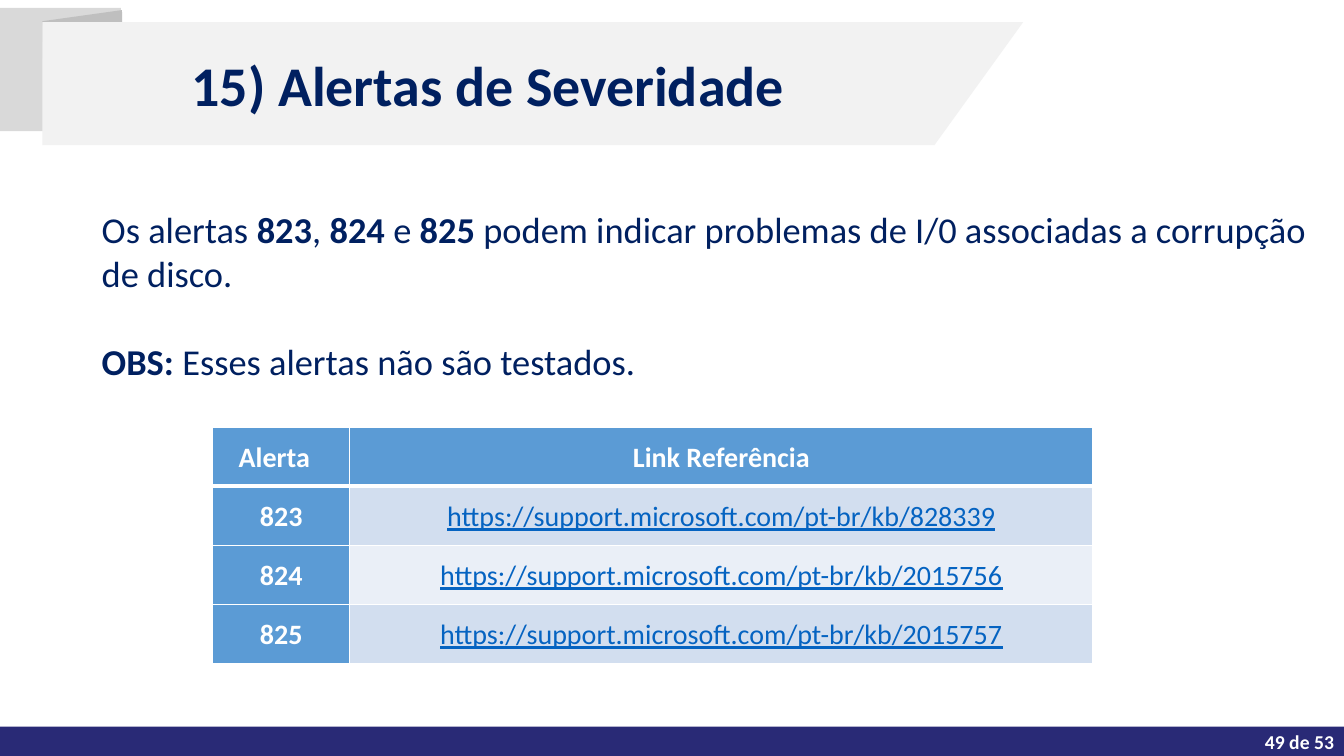
from dataclasses import dataclass
from itertools import product

from lxml.etree import SubElement
from pptx import Presentation
from pptx.dml.color import RGBColor
from pptx.enum.shapes import MSO_SHAPE
from pptx.enum.text import MSO_ANCHOR, PP_ALIGN
from pptx.oxml.ns import qn
from pptx.util import Inches, Pt


@dataclass(frozen=True)
class Theme:
    font: str = "Calibri"
    navy: str = "002060"
    white: str = "FFFFFF"
    footer: str = "292A76"
    tab: str = "D9D9D9"
    fold: str = "BFBFBF"
    banner: str = "F2F2F2"
    header: str = "5B9BD5"
    bands: tuple = ("D2DEEF", "EAEFF7")
    link: str = "0563C1"
    title_size: int = 40
    body_size: int = 26
    table_size: int = 20
    page_size: int = 14
    thin_border: float = 0.96
    thick_border: float = 3


THEME = Theme()
WIDTH, HEIGHT = Inches(13.33), Inches(7.5)
COLUMNS, ROWS = 64, 36

BODY = [
    [("Os alertas ", False), ("823", True), (", ", False), ("824", True),
     (" e ", False), ("825", True),
     (" podem indicar problemas de I/0 associadas a corrupção de disco.", False)],
    [("OBS: ", True), ("Esses alertas não são testados.", False)],
]
ALERTS = [
    ("Alerta", "Link Referência"),
    ("823", "https://support.microsoft.com/pt-br/kb/828339"),
    ("824", "https://support.microsoft.com/pt-br/kb/2015756"),
    ("825", "https://support.microsoft.com/pt-br/kb/2015757"),
]
ALERT_COLUMNS = (6.53, 35.38)
ALERT_ROW = 2.81


def across(columns):
    return round(WIDTH * columns / COLUMNS)


def down(rows):
    return round(HEIGHT * rows / ROWS)


def place(left, top, width, height):
    return across(left), down(top), across(width), down(height)


def paint(shape, color):
    shape.shadow.inherit = False
    shape.fill.solid()
    shape.fill.fore_color.rgb = RGBColor.from_string(color)
    shape.line.fill.background()


def add_block(slide, area, color):
    paint(slide.shapes.add_shape(MSO_SHAPE.RECTANGLE, *place(*area)), color)


def add_outline(slide, corners, color):
    points = [(across(x), down(y)) for x, y in corners]
    builder = slide.shapes.build_freeform(*points[0], scale=1.0)
    builder.add_line_segments(points[1:], close=True)
    paint(builder.convert_to_shape(), color)


def style_run(run, size, color, bold, underline=False):
    font = run.font
    font.name = THEME.font
    font.size = Pt(size)
    font.bold = bold
    font.underline = underline
    font.color.rgb = RGBColor.from_string(color)


def add_text(slide, area, paragraphs, size, color,
             align=PP_ALIGN.LEFT, anchor=MSO_ANCHOR.MIDDLE, gap=0):
    frame = slide.shapes.add_textbox(*place(*area)).text_frame
    frame.word_wrap = True
    frame.vertical_anchor = anchor
    for index, pieces in enumerate(paragraphs):
        paragraph = frame.add_paragraph() if index else frame.paragraphs[0]
        paragraph.alignment = align
        if index:
            paragraph.space_before = Pt(gap)
        for text, bold in pieces:
            run = paragraph.add_run()
            run.text = text
            style_run(run, size, color, bold)


def add_borders(cell, top, bottom):
    properties = cell._tc.get_or_add_tcPr()
    thin = THEME.thin_border
    for side, width in (("L", thin), ("R", thin), ("T", top), ("B", bottom)):
        line = SubElement(properties, qn(f"a:ln{side}"), w=str(Pt(width)))
        fill = SubElement(line, qn("a:solidFill"))
        SubElement(fill, qn("a:srgbClr"), val=THEME.white)


def fill_cell(cell, text, row, column):
    is_heading = row == 0 or column == 0
    add_borders(cell,
                THEME.thick_border if row == 1 else THEME.thin_border,
                THEME.thick_border if row == 0 else THEME.thin_border)
    cell.fill.solid()
    background = THEME.header if is_heading else THEME.bands[(row - 1) % 2]
    cell.fill.fore_color.rgb = RGBColor.from_string(background)
    cell.vertical_anchor = MSO_ANCHOR.MIDDLE
    cell.margin_left = cell.margin_right = across(0.24)
    cell.margin_top = cell.margin_bottom = down(0.24)
    if row == column == 0:
        cell.margin_right = across(0.9)
    paragraph = cell.text_frame.paragraphs[0]
    paragraph.text = text
    paragraph.alignment = PP_ALIGN.CENTER
    paragraph.line_spacing = 1.07
    paragraph.space_after = Pt(8)
    style_run(paragraph.runs[0], THEME.table_size,
              THEME.white if is_heading else THEME.link,
              is_heading, not is_heading)


def add_alert_table(slide, left, top):
    area = place(left, top, sum(ALERT_COLUMNS), ALERT_ROW * len(ALERTS))
    table = slide.shapes.add_table(len(ALERTS), len(ALERT_COLUMNS), *area).table
    for column, width in zip(table.columns, ALERT_COLUMNS):
        column.width = across(width)
    for row in table.rows:
        row.height = down(ALERT_ROW)
    for row, column in product(range(len(ALERTS)), range(len(ALERT_COLUMNS))):
        fill_cell(table.cell(row, column), ALERTS[row][column], row, column)


def main():
    presentation = Presentation()
    presentation.slide_width, presentation.slide_height = WIDTH, HEIGHT
    slide = presentation.slides.add_slide(presentation.slide_layouts[6])

    add_block(slide, (0, 34.6, COLUMNS, 1.4), THEME.footer)
    add_block(slide, (0, 0.38, 5.76, 5.86), THEME.tab)
    add_outline(slide, [(2.02, 1.01), (5.81, 0.48), (5.86, 6.82), (2.11, 6.82)],
                THEME.fold)
    add_outline(slide, [(2.02, 1.06), (48.72, 1.06), (44.5, 6.91), (2.02, 6.91)],
                THEME.banner)
    add_text(slide, (4.37, 9.65, 59.14, 8.7), BODY, THEME.body_size, THEME.navy,
             anchor=MSO_ANCHOR.TOP, gap=31.7)
    add_text(slide, (2.02, 1.01, 42.43, 5.95), [[("15) Alertas de Severidade", True)]],
             THEME.title_size, THEME.navy, PP_ALIGN.CENTER)
    add_alert_table(slide, 10.13, 20.35)
    add_text(slide, (55, 34.66, 9, 1.34), [[("49 de 53", True)]],
             THEME.page_size, THEME.white, PP_ALIGN.RIGHT)
    presentation.save("out.pptx")


if __name__ == "__main__":
    main()
